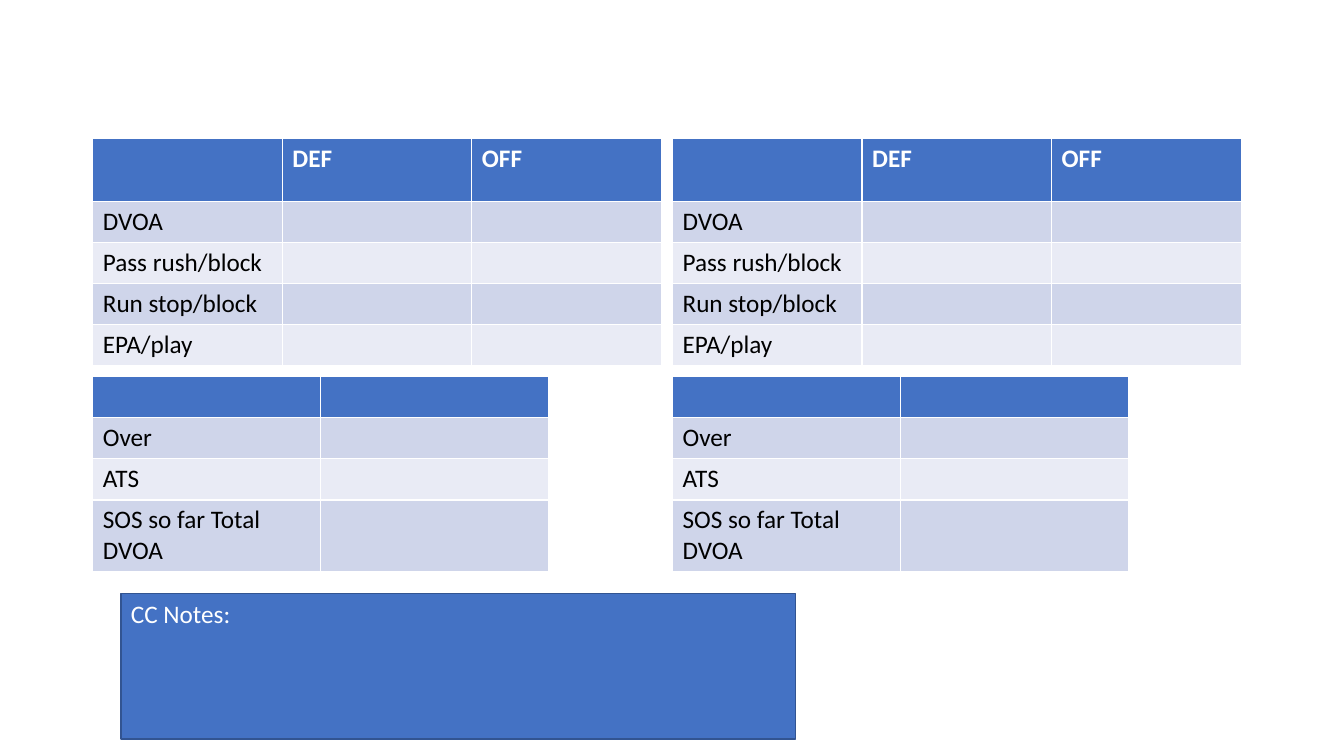
"""Build a matchup slide with paired stat tables and a notes box."""
from dataclasses import dataclass
from pptx import Presentation
from pptx.dml.color import RGBColor as Rgb
from pptx.enum import shapes, text
from pptx.util import Inches, Pt


@dataclass(frozen=True)
class Theme:
    """Hold the colours and type of the slide."""
    font: str = "Calibri"
    size: float = 18
    head: str = "4472C4"
    edge: str = "325491"
    bands: tuple = ("CFD5EA", "E9EBF5")
    light: str = "FFFFFF"
    dark: str = "000000"


THEME = Theme()
STATS = [("", "DEF", "OFF"), ("DVOA",), ("Pass rush/block",),
         ("Run stop/block",), ("EPA/play",)]
ODDS = [("", ""), ("Over",), ("ATS",), ("SOS so far Total DVOA",)]


def paint(fill, color):
    """Apply a solid fill."""
    fill.solid()
    fill.fore_color.rgb = Rgb.from_string(color)


def write(frame, words, color, bold=False):
    """Put styled words in a text frame."""
    para = frame.paragraphs[0]
    para.alignment = text.PP_ALIGN.LEFT
    if not words:
        para.font.size = Pt(THEME.size)
        return
    run = para.add_run()
    run.text = words
    style = {"name": THEME.font, "size": Pt(THEME.size), "bold": bold}
    for key, value in style.items():
        setattr(run.font, key, value)
    run.font.color.rgb = Rgb.from_string(color)


def add_grid(slide, data, left, top, width, tall):
    """Add a banded table with equal columns and given row heights."""
    count = len(data[0])
    frame = slide.shapes.add_table(len(data), count, Inches(left), Inches(top),
                                   Inches(width), Inches(sum(tall)))
    grid = frame.table
    for col in grid.columns:
        col.width = Inches(width / count)
    for i, (row, high) in enumerate(zip(data, tall)):
        grid.rows[i].height = Inches(high)
        head = i == 0
        fill = THEME.head if head else THEME.bands[(i - 1) % 2]
        color = THEME.light if head else THEME.dark
        for j in range(count):
            cell = grid.cell(i, j)
            paint(cell.fill, fill)
            words = row[j] if j < len(row) else ""
            write(cell.text_frame, words, color, head)


def add_note(slide, words, left, top, width, height):
    """Add the filled notes box."""
    box = slide.shapes.add_shape(shapes.MSO_SHAPE.RECTANGLE, Inches(left),
                                 Inches(top), Inches(width), Inches(height))
    box.shadow.inherit = False
    paint(box.fill, THEME.head)
    paint(box.line.fill, THEME.edge)
    box.line.width = Pt(1)
    frame = box.text_frame
    style = {"word_wrap": True, "vertical_anchor": text.MSO_ANCHOR.TOP}
    for key, value in style.items():
        setattr(frame, key, value)
    write(frame, words, THEME.light)


def main():
    """Build and save the slide."""
    deck = Presentation()
    deck.slide_width, deck.slide_height = Inches(13.33), Inches(7.5)
    slide = deck.slides.add_slide(deck.slide_layouts[6])
    for left in (0.92, 6.67):
        add_grid(slide, STATS, left, 1.37, 5.64, [0.63] + [0.39] * 4)
        add_grid(slide, ODDS, left, 3.73, 4.52, [0.41] * 4)
    add_note(slide, "CC Notes:", 1.2, 5.89, 6.69, 1.44)
    deck.save("out.pptx")


main()
